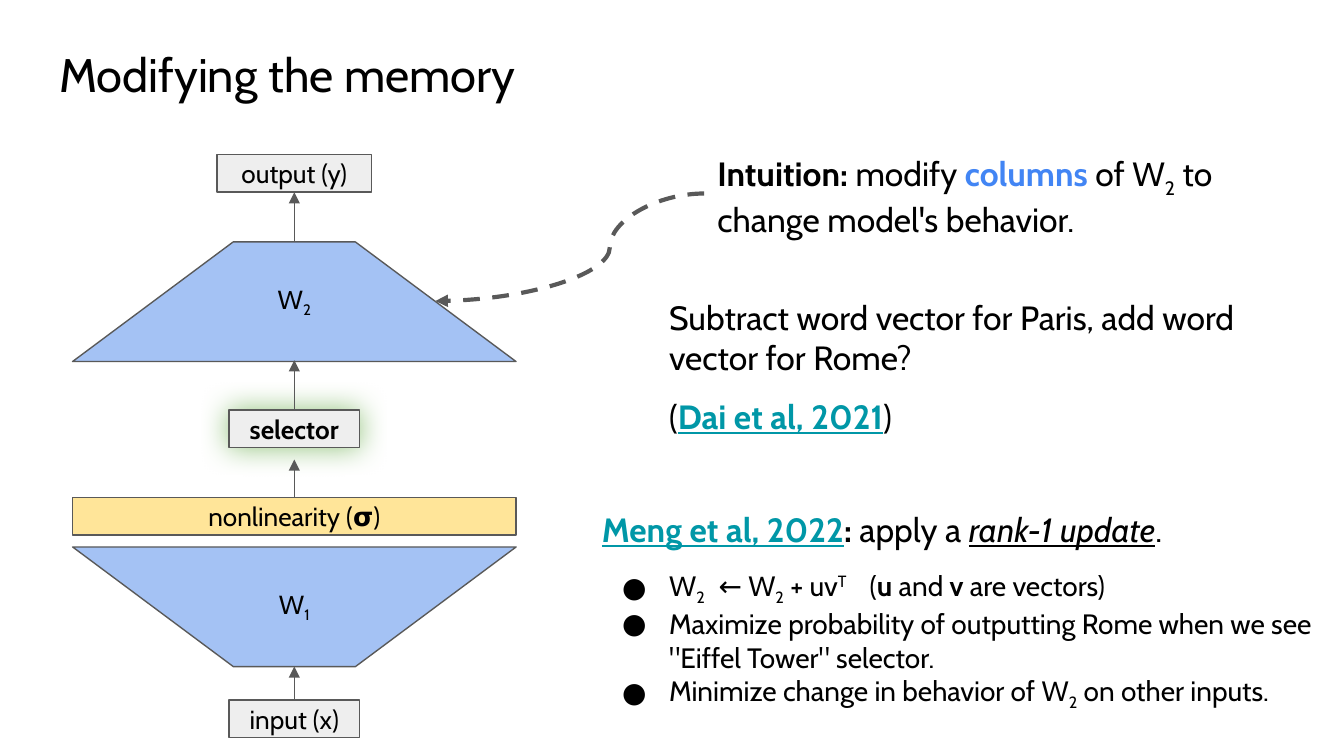
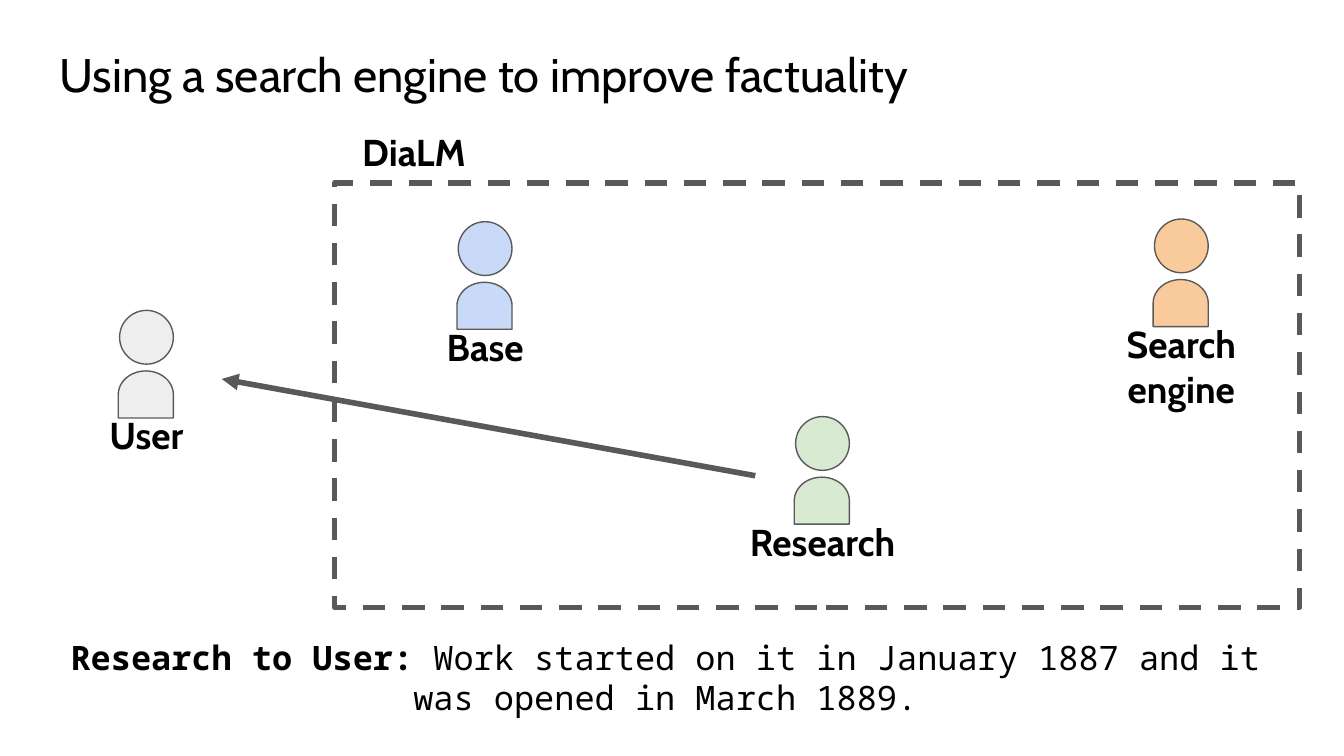
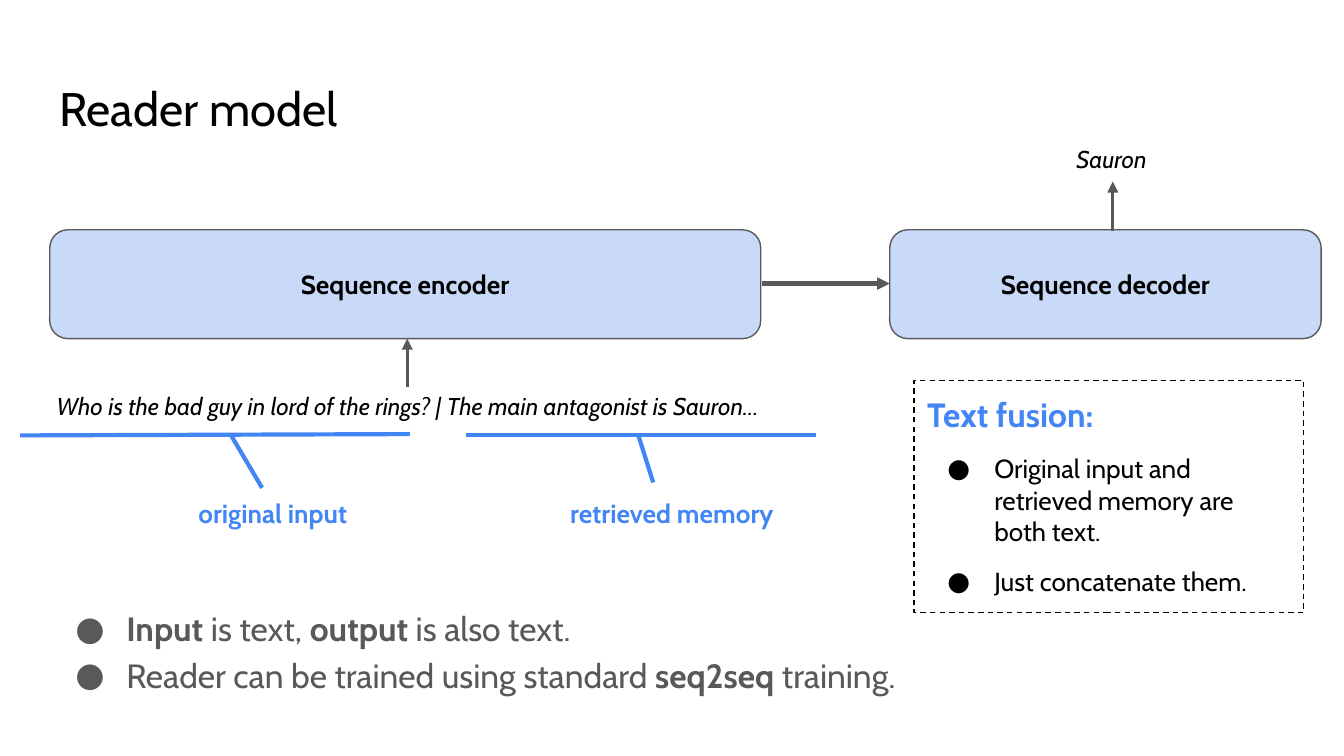
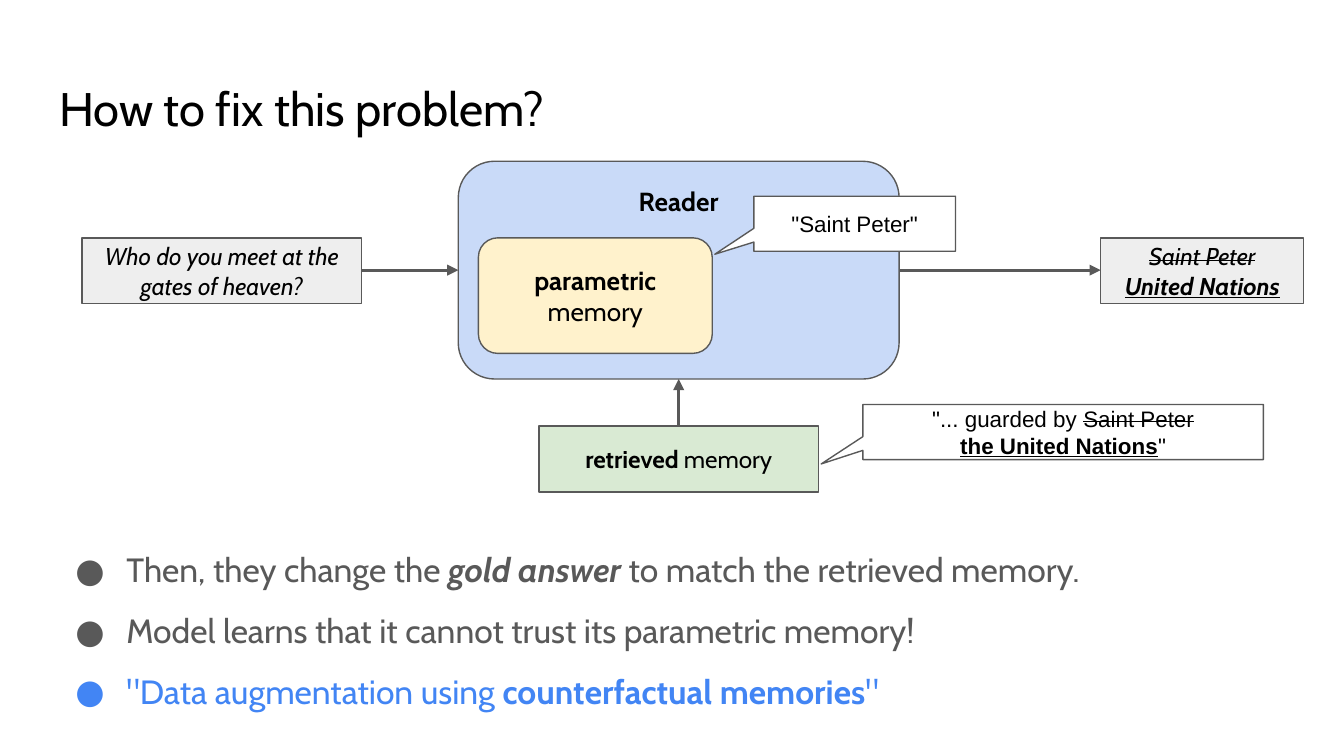
"""Build four slides on editing memory, search tools and reader models."""
from lxml import etree
from pptx import Presentation
from pptx.dml.color import RGBColor
from pptx.enum.dml import MSO_LINE
from pptx.enum.shapes import MSO_CONNECTOR, MSO_SHAPE
from pptx.enum.text import MSO_ANCHOR, MSO_AUTO_SIZE, PP_ALIGN
from pptx.oxml.ns import qn
from pptx.util import Inches, Pt

BLACK = RGBColor(0x00, 0x00, 0x00)
WHITE = RGBColor(0xFF, 0xFF, 0xFF)
GRAY = RGBColor(0x59, 0x59, 0x59)
LIGHT_GRAY = RGBColor(0xEE, 0xEE, 0xEE)
BLUE = RGBColor(0x42, 0x85, 0xF4)
MID_BLUE = RGBColor(0xA4, 0xC2, 0xF4)
LIGHT_BLUE = RGBColor(0xC9, 0xDA, 0xF8)
TEAL = RGBColor(0x00, 0x97, 0xA7)
YELLOW = RGBColor(0xFF, 0xE5, 0x99)
LIGHT_YELLOW = RGBColor(0xFF, 0xF2, 0xCC)
LIGHT_GREEN = RGBColor(0xD9, 0xEA, 0xD3)
ORANGE = RGBColor(0xF9, 0xCB, 0x9C)

RECTANGLE = MSO_SHAPE.RECTANGLE
ROUNDED = MSO_SHAPE.ROUNDED_RECTANGLE
TRAPEZOID = MSO_SHAPE.TRAPEZOID
OVAL = MSO_SHAPE.OVAL
DELAY = MSO_SHAPE.FLOWCHART_DELAY
CALLOUT = MSO_SHAPE.RECTANGULAR_CALLOUT
STRAIGHT = MSO_CONNECTOR.STRAIGHT
CURVE = MSO_CONNECTOR.CURVE
DASH = MSO_LINE.DASH
LEFT, CENTER = PP_ALIGN.LEFT, PP_ALIGN.CENTER
TOP, MIDDLE = MSO_ANCHOR.TOP, MSO_ANCHOR.MIDDLE
FONT = "Cabin"
RUN_ATTRIBUTES = {
    "s": ("strike", "sngStrike"),
    "_": ("baseline", "-25000"),
    "^": ("baseline", "30000"),
    "w": ("spc", "400"),
    "W": ("spc", "900"),
}


def add_block(slide, kind, box, paragraphs=(), style="", size=14, color=BLACK, font=FONT,
              align=CENTER, anchor=TOP, fill=None, line=GRAY, width=0.75, hanging=0.35):
    """Place a shape, text box or placeholder and write its paragraphs run by run."""
    left, top, across, down = [Inches(value) for value in box]
    if kind == "title":
        shape = slide.shapes.title
    elif kind == "body":
        shape = slide.placeholders[1]
    elif kind == "text":
        shape = slide.shapes.add_textbox(left, top, across, down)
    else:
        shape = slide.shapes.add_shape(kind, left, top, across, down)
        shape.shadow.inherit = False
        shape.line.color.rgb = line
        shape.line.width = Pt(width)
        if fill is None:
            shape.fill.background()
        else:
            shape.fill.solid()
            shape.fill.fore_color.rgb = fill
    shape.left, shape.top, shape.width, shape.height = left, top, across, down

    frame = shape.text_frame
    frame.word_wrap = True
    frame.auto_size = MSO_AUTO_SIZE.NONE
    frame.vertical_anchor = anchor
    frame.margin_left = frame.margin_right = Inches(0.1)
    frame.margin_top = frame.margin_bottom = Inches(0.1)
    if isinstance(paragraphs, str):
        paragraphs = [dict(runs=[(paragraphs, style)])]
    for index, content in enumerate(paragraphs):
        paragraph = frame.paragraphs[0] if index == 0 else frame.add_paragraph()
        paragraph.alignment = align
        paragraph.space_before = Pt(content.get("before", 0))
        paragraph.space_after = Pt(content.get("after", 0))
        paragraph.line_spacing = content.get("spacing", 1.0)
        paragraph_color = content.get("color", color)
        if content.get("bullet"):
            properties = paragraph._p.get_or_add_pPr()
            properties.set("marL", str(Inches(0.5)))
            properties.set("indent", str(-Inches(hanging)))
            bullet_color = etree.SubElement(properties, qn("a:buClr"))
            etree.SubElement(bullet_color, qn("a:srgbClr"), val=str(paragraph_color))
            etree.SubElement(properties, qn("a:buFont"), typeface=font)
            etree.SubElement(properties, qn("a:buChar"), char="●")
        for text, flags, *run_color in content["runs"]:
            run = paragraph.add_run()
            run.text = text
            run.font.name = font
            run.font.size = Pt(content.get("size", size))
            run.font.color.rgb = run_color[0] if run_color else paragraph_color
            run.font.bold = "b" in flags
            run.font.italic = "i" in flags
            run.font.underline = "u" in flags
            for flag, (attribute, value) in RUN_ATTRIBUTES.items():
                if flag in flags:
                    run._r.get_or_add_rPr().set(attribute, value)
    return shape


def add_line(slide, start, end, color=GRAY, width=0.75, arrow=True, kind=STRAIGHT, dash=None):
    """Draw a connector, with an arrowhead at its end unless told otherwise."""
    connector = slide.shapes.add_connector(kind, *[Inches(value) for value in (*start, *end)])
    connector.line.color.rgb = color
    connector.line.width = Pt(width)
    if dash is not None:
        connector.line.dash_style = dash
    properties = connector._element.spPr
    if arrow:
        etree.SubElement(properties.find(qn("a:ln")), qn("a:tailEnd"), type="triangle")
    etree.SubElement(properties, qn("a:effectLst"))
    return connector


presentation = Presentation()
presentation.slide_width = Inches(10)
presentation.slide_height = Inches(10) * 9 // 16
TITLE_ONLY = presentation.slide_layouts[5]
TITLE_AND_BODY = presentation.slide_layouts[1]

slides = []
for title, top, layout in [
    ("Modifying the memory", 0.24, TITLE_ONLY),
    ("Using a search engine to improve factuality", 0.24, TITLE_ONLY),
    ("Reader model", 0.49, TITLE_AND_BODY),
    ("How to fix this problem?", 0.49, TITLE_AND_BODY),
]:
    slide = presentation.slides.add_slide(layout)
    add_block(slide, "title", (0.34, top, 9.32, 0.63), title, size=25.2, align=LEFT)
    slides.append(slide)
memory_slide, search_slide, reader_slide, fix_slide = slides

# Modifying the memory
NETWORK_CENTER = 2.19
for top, rotation, digit in [(4.07, 180, "1"), (1.8, 0, "2")]:
    weights = add_block(memory_slide, TRAPEZOID, (0.54, top, 3.3, 0.89), fill=MID_BLUE)
    weights.adjustments[0] = 1.343
    weights.rotation = rotation
    add_block(memory_slide, "text", (1.75, top + 0.22, 0.88, 0.44),
              [dict(runs=[("W", ""), (digit, "_")])], anchor=MIDDLE)
for label, top, width, fill, style in [
    ("input (x)", 5.21, 0.97, LIGHT_GRAY, ""),
    ("nonlinearity (𝞂)", 3.7, 3.3, YELLOW, ""),
    ("output (y)", 1.15, 1.15, LIGHT_GRAY, ""),
    ("selector", 3.05, 0.97, LIGHT_GRAY, "b"),
]:
    layer = add_block(memory_slide, RECTANGLE, (NETWORK_CENTER - width / 2, top, width, 0.28),
                      label, style, anchor=MIDDLE, fill=fill)
glow = etree.SubElement(layer._element.spPr.find(qn("a:effectLst")), qn("a:outerShdw"),
                        blurRad=str(Pt(15.8)), dist="0", algn="ctr", rotWithShape="0")
etree.SubElement(glow, qn("a:srgbClr"), val="93C47D")
for bottom, top in [(5.21, 4.96), (3.7, 3.42), (3.05, 2.68), (1.8, 1.43)]:
    add_line(memory_slide, (NETWORK_CENTER, bottom), (NETWORK_CENTER, top))

add_block(memory_slide, "text", (5.24, 1.04, 4.43, 0.81), [dict(runs=[
    ("Intuition: ", "b"), ("modify ", ""), ("columns", "b", BLUE), (" of W", ""), ("2", "_"),
    (" to change model's behavior.", "")])], size=18, align=LEFT)
pointer = add_line(memory_slide, (5.24, 1.44), (3.24, 2.24), width=2.25, kind=CURVE, dash=DASH)
bend = pointer._element.spPr.find(qn("a:prstGeom")).find(qn("a:avLst"))
etree.SubElement(bend, qn("a:gd"), name="adj1", fmla="val 35100")
add_block(memory_slide, "text", (4.38, 3.69, 5.52, 1.66), [
    dict(before=10, size=18, runs=[
        ("Meng et al, 2022", "bu", TEAL), (":", "b"), (" apply a ", ""),
        ("rank-1 update", "iu"), (".", "")]),
    dict(before=10, bullet=True, runs=[
        ("W", ""), ("2", "_"), (" ", "w"), ("← W", ""), ("2", "_"), (" + uv", ""), ("T", "^"),
        (" ", "W"), ("(", ""), ("u", "b"), (" and ", ""), ("v", "b"), (" are vectors)", "")]),
    dict(bullet=True, runs=[
        ('Maximize probability of outputting Rome when we see "Eiffel Tower" selector.', "")]),
    dict(bullet=True, runs=[
        ("Minimize change in behavior of W", ""), ("2", "_"), (" on other inputs.", "")]),
], size=15, align=LEFT)
add_block(memory_slide, "text", (4.88, 2.11, 4.7, 1.25), [
    dict(before=10, runs=[("Subtract word vector for Paris, add word vector for Rome?", "")]),
    dict(before=10, runs=[("(", ""), ("Dai et al, 2021", "bu", TEAL), (")", "")]),
], size=18, align=LEFT)

# Using a search engine
add_block(search_slide, "text", (0.17, 4.64, 9.56, 0.81), [dict(runs=[
    ("Research to User: ", "b"),
    ("Work started on it in January 1887 and it was opened in March 1889.", "")])],
    size=18, font="Noto Sans Mono")
system = add_block(search_slide, RECTANGLE, (2.49, 1.36, 7.18, 3.16), width=3)
system.line.dash_style = DASH
add_block(search_slide, "text", (2.32, 0.86, 1.52, 0.54), "DiaLM", "b", size=20)
for name, center, top, fill, label_width, label_height in [
    ("User", 1.09, 2.31, LIGHT_GRAY, 0.98, 0.54),
    ("Base", 3.61, 1.65, LIGHT_BLUE, 0.98, 0.54),
    ("Research", 6.12, 3.1, LIGHT_GREEN, 1.52, 0.54),
    ("Search engine", 8.79, 1.63, ORANGE, 1.52, 0.88),
]:
    torso = add_block(search_slide, DELAY, (center - 0.18, top + 0.42, 0.35, 0.41), fill=fill)
    torso.rotation = 270
    add_block(search_slide, OVAL, (center - 0.2, top, 0.4, 0.4), fill=fill)
    add_block(search_slide, "text",
              (center - label_width / 2, top + 0.66, label_width, label_height),
              name, "b", size=20)
add_line(search_slide, (5.62, 3.54), (1.65, 2.82), width=3)

# Reader model
for name, left, width in [("Sequence encoder", 0.37, 5.29), ("Sequence decoder", 6.62, 3.21)]:
    add_block(reader_slide, ROUNDED, (left, 1.71, width, 0.81), name, "b",
              anchor=MIDDLE, fill=LIGHT_BLUE)
add_line(reader_slide, (5.67, 2.11), (6.62, 2.11), width=2.25)
add_line(reader_slide, (3.03, 2.88), (3.03, 2.52), width=1.5)
add_line(reader_slide, (8.28, 1.72), (8.28, 1.35), width=1.5)
for text, box in [
    ("Who is the bad guy in lord of the rings? | The main antagonist is Sauron… ",
     (0, 2.81, 6.1, 0.42)),
    ("Sauron", (7.52, 0.97, 1.5, 0.42)),
]:
    add_block(reader_slide, "text", box, text, "i", size=13)
for start, end in [
    ((3.47, 3.24), (6.07, 3.24)), ((4.75, 3.24), (4.86, 3.59)),
    ((0.15, 3.24), (3.05, 3.23)), ((1.95, 3.63), (1.72, 3.24)),
]:
    add_line(reader_slide, start, end, color=BLUE, width=2.25, arrow=False)
for name, left, width in [("retrieved memory", 3.95, 2.1), ("original input", 1.28, 1.5)]:
    add_block(reader_slide, "text", (left, 3.6, width, 0.6), name, "b", color=BLUE)
add_block(reader_slide, "body", (0.34, 4.38, 9.32, 0.98), [
    dict(bullet=True, spacing=1.15, runs=[
        ("Input", "b"), (" is text, ", ""), ("output", "b"), (" is also text.", "")]),
    dict(bullet=True, spacing=1.15, runs=[
        ("Reader can be trained using standard ", ""), ("seq2seq", "b"), (" training.", "")]),
], size=18, color=GRAY, align=LEFT, hanging=0.38)
fusion = add_block(reader_slide, RECTANGLE, (6.8, 2.83, 2.9, 1.73), [
    dict(before=10, size=18, runs=[("Text fusion:", "b", BLUE)]),
    dict(before=10, bullet=True,
         runs=[("Original input and retrieved memory are both text.", "")]),
    dict(before=10, bullet=True, runs=[("Just concatenate them.", "")]),
], align=LEFT, line=BLACK)
fusion.line.dash_style = DASH

# How to fix this problem
add_block(fix_slide, "body", (0.34, 4.01, 9.32, 1.41), [
    dict(bullet=True, spacing=0.95, before=10, runs=[
        ("Then, they change the ", ""), ("gold answer", "bi"),
        (" to match the retrieved memory.", "")]),
    dict(bullet=True, spacing=0.95, before=12, runs=[
        ("Model learns that it cannot trust its parametric memory!", "")]),
    dict(bullet=True, spacing=0.95, before=12, after=12, color=BLUE, runs=[
        ('"Data augmentation using ', ""), ("counterfactual memories", "b"), ('"', "")]),
], size=18, color=GRAY, align=LEFT, hanging=0.38)
add_block(fix_slide, ROUNDED, (3.41, 1.2, 3.28, 1.62), "Reader", "b", fill=LIGHT_BLUE)
add_block(fix_slide, ROUNDED, (3.56, 1.77, 1.74, 0.86),
          [dict(runs=[("parametric", "b"), (" memory", "")])],
          anchor=MIDDLE, fill=LIGHT_YELLOW)
for box, fill, paragraphs in [
    ((0.61, 1.77, 2.08, 0.49), LIGHT_GRAY,
     [dict(runs=[("Who do you meet at the gates of heaven?", "i")])]),
    ((4.01, 3.17, 2.08, 0.49), LIGHT_GREEN,
     [dict(runs=[("retrieved", "b"), (" memory", "")])]),
    ((8.19, 1.77, 1.51, 0.49), LIGHT_GRAY,
     [dict(runs=[("Saint Peter", "is")]), dict(runs=[("United Nations", "biu")])]),
]:
    add_block(fix_slide, RECTANGLE, box, paragraphs, size=13, anchor=MIDDLE, fill=fill)
for start, end in [
    ((2.69, 2.01), (3.41, 2.01)), ((5.05, 3.17), (5.05, 2.82)), ((6.69, 2.01), (8.19, 2.01)),
]:
    add_line(fix_slide, start, end, width=1.5)
for box, tip, paragraphs in [
    ((6.42, 3.01, 2.98, 0.41), (-0.604, 0.579), [
        dict(runs=[('"... guarded by ', ""), ("Saint Peter", "s")]),
        dict(runs=[("the United Nations", "bu"), ('"', "")])]),
    ((5.61, 1.46, 1.5, 0.41), (-0.694, 0.554), [dict(runs=[('"Saint Peter"', "")])]),
]:
    callout = add_block(fix_slide, CALLOUT, box, paragraphs, size=12, font="Arial",
                        anchor=MIDDLE, fill=WHITE)
    callout.adjustments[0], callout.adjustments[1] = tip

presentation.save("out.pptx")
